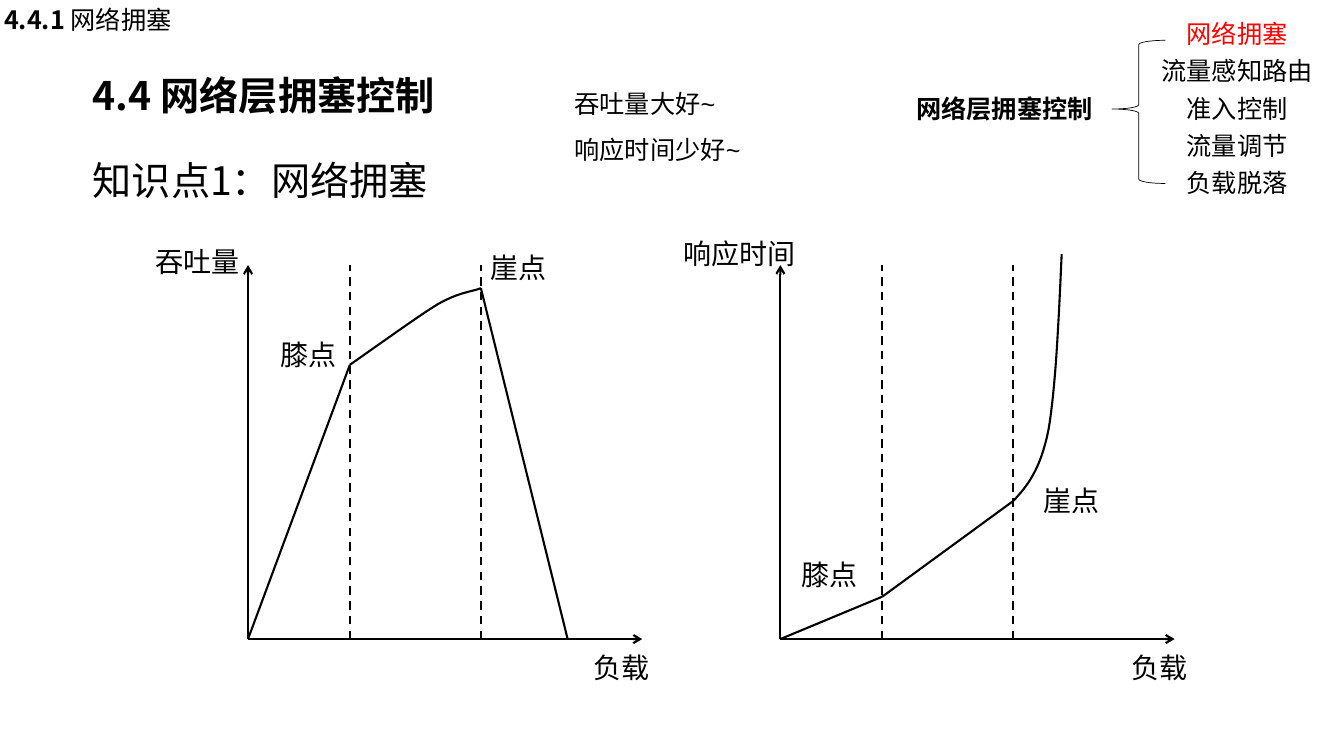
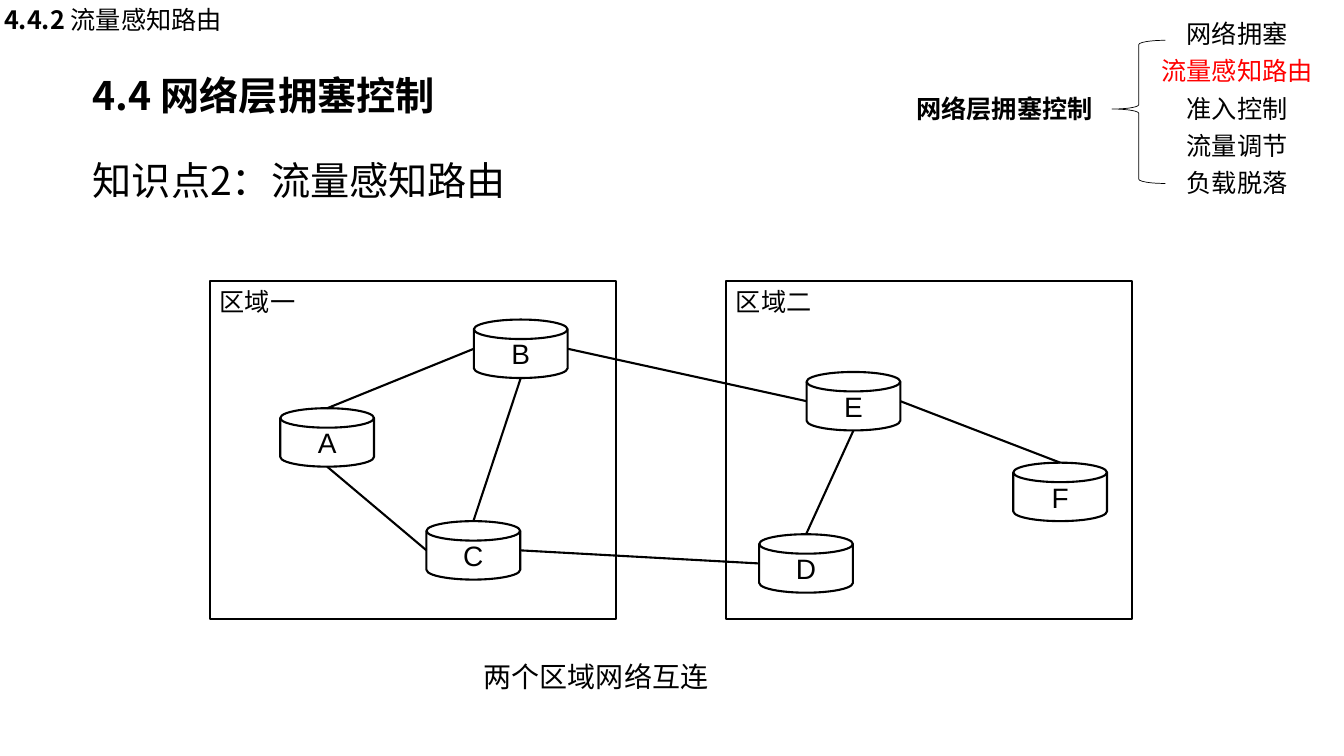
"""Builds two slides on congestion control in the network layer."""
from lxml import etree
from pptx import Presentation
from pptx import util as u
from pptx.dml.color import RGBColor
from pptx.enum import dml, lang, shapes, text
from pptx.oxml.ns import qn

PX = 9144
BLACK = RGBColor(0x00, 0x00, 0x00)
RED = RGBColor(0xFF, 0x00, 0x00)
CJK_FONT = "Noto Sans CJK SC"
TOP, LEFT, BOTTOM, RIGHT = range(4)

TOPICS = ["网络拥塞", "流量感知路由", "准入控制", "流量调节", "负载脱落"]
CHAPTER = "网络层拥塞控制"
AXIS_Y, AXIS_TOP, AXIS_LENGTH = 634, 263, 391
KNEE, CLIFF = 101, 231
DISK_SIZE = 93, 58
DISKS = {
    "A": (278, 405),
    "B": (470, 317),
    "C": (423, 517),
    "D": (753, 530),
    "E": (800, 369),
    "F": (1005, 459),
}
LINKS = [
    ("A", TOP, "B", LEFT),
    ("C", TOP, "B", BOTTOM),
    ("C", LEFT, "A", BOTTOM),
    ("B", RIGHT, "E", LEFT),
    ("D", TOP, "E", BOTTOM),
    ("C", RIGHT, "D", LEFT),
    ("E", RIGHT, "F", TOP),
]


def px(*values):
    """Turn lengths in px into EMU."""
    return [u.Emu(round(value * PX)) for value in values]


def insets(horizontal, vertical):
    """Return the frame margins for a pair of lengths in px."""
    side, end = px(horizontal, vertical)
    return dict(margin_left=side, margin_right=side, margin_top=end, margin_bottom=end)


def style(size, name=CJK_FONT, bold=False, paragraph=None, **frame):
    """Return the format values of one kind of text."""
    return {
        "font": dict(name=name, size=u.Pt(size), bold=bold),
        "paragraph": paragraph or {},
        "frame": dict(insets(10, 5), word_wrap=True) | frame,
    }


GROW = dict(auto_size=text.MSO_AUTO_SIZE.SHAPE_TO_FIT_TEXT)
FREE = dict(GROW, word_wrap=False)
MIDDLE = dict(vertical_anchor=text.MSO_ANCHOR.MIDDLE)
CENTER = dict(alignment=text.PP_ALIGN.CENTER)
TITLE = style(28, bold=True, **insets(12, 6), **GROW)
SUBTITLE = style(28, paragraph=dict(line_spacing=1.5), **insets(12, 6), **MIDDLE)
SECTION = style(18, paragraph=dict(line_spacing=u.Pt(16)), **(FREE | insets(4, 5)))
TOPIC = style(18, paragraph=dict(CENTER, line_spacing=u.Pt(16)), **FREE)
ROOT = style(18, bold=True, **FREE)
LABEL = style(20, name="Arial", **GROW)
REMARK = style(18, name="Arial", paragraph=dict(line_spacing=1.5), **GROW)
REGION = style(
    18,
    name="Arial",
    paragraph=dict(alignment=text.PP_ALIGN.LEFT),
    vertical_anchor=text.MSO_ANCHOR.TOP,
)
NODE = style(20, name="Arial", paragraph=CENTER, **MIDDLE)


def apply(target, values):
    """Set every attribute of a dict on an object."""
    for name, value in values.items():
        setattr(target, name, value)


def add_run(paragraph, wording, font, color):
    """Append one formatted run to a paragraph."""
    run = paragraph.add_run()
    run.text = wording
    apply(run.font, font)
    run.font.language_id = lang.MSO_LANGUAGE_ID.SIMPLIFIED_CHINESE
    run.font.color.rgb = color
    east_asian = etree.SubElement(run.font._element, qn("a:ea"))
    east_asian.set("typeface", CJK_FONT)


def write(shape, look, *lines, color=BLACK):
    """Write lines into a shape and return the last paragraph."""
    frame = shape.text_frame
    apply(frame, look["frame"])
    for index, line in enumerate(lines):
        paragraph = frame.add_paragraph() if index else frame.paragraphs[0]
        apply(paragraph, look["paragraph"])
        add_run(paragraph, line, look["font"], color)
    return paragraph


def add_text(slide, box, look, *lines, color=BLACK):
    """Add a text box and return its last paragraph."""
    return write(slide.shapes.add_textbox(*px(*box)), look, *lines, color=color)


def add_outline(slide, kind, box, width=1.5):
    """Add an unfilled preset shape with a black line."""
    return draw_outline(slide.shapes.add_shape(kind, *px(*box)), width)


def draw_outline(shape, width=1.5):
    """Give a shape a black line, no fill and no shadow."""
    shape.shadow.inherit = False
    shape.fill.background()
    shape.line.color.rgb = BLACK
    shape.line.width = u.Pt(width)
    return shape


def add_line(slide, start, end, dashed=False, arrow=False):
    """Add a straight black connector."""
    line = slide.shapes.add_connector(shapes.MSO_CONNECTOR.STRAIGHT, *px(*start, *end))
    line.line.color.rgb = BLACK
    line.line.width = u.Pt(1.5)
    if dashed:
        line.line.dash_style = dml.MSO_LINE.DASH
    if arrow:
        etree.SubElement(line.line._get_or_add_ln(), qn("a:tailEnd")).set("type", "arrow")
    etree.SubElement(line._element.spPr, qn("a:effectLst"))
    return line


def bezier(start, first, second, end, steps=16):
    """Yield points along a cubic curve, without its start."""
    for step in range(1, steps + 1):
        t = step / steps
        weights = (1 - t) ** 3, 3 * t * (1 - t) ** 2, 3 * t * t * (1 - t), t ** 3
        yield [
            sum(weight * value for weight, value in zip(weights, axis))
            for axis in zip(start, first, second, end)
        ]


def add_curve(slide, start, *segments):
    """Add an open outline made of cubic curves."""
    builder = slide.shapes.build_freeform(*px(*start))
    for segment in segments:
        points = bezier(start, *segment)
        builder.add_line_segments([px(*point) for point in points], close=False)
        start = segment[-1]
    draw_outline(builder.convert_to_shape())


def add_axes(slide, left):
    """Add two axes and the dashed lines of the knee and the cliff."""
    origin = left, AXIS_Y
    add_line(slide, origin, (left, AXIS_TOP), arrow=True)
    add_line(slide, origin, (left + AXIS_LENGTH, AXIS_Y), arrow=True)
    for offset in (KNEE, CLIFF):
        x = left + offset
        add_line(slide, (x, AXIS_Y), (x, AXIS_TOP), dashed=True)


def add_labels(slide, labels):
    """Add the wording of a graph, given as (text, left, top)."""
    for wording, left, top in labels:
        add_text(slide, (left, top, 179, 44), LABEL, wording)


def add_throughput_graph(slide, left=246):
    """Draw throughput against load."""
    knee, cliff = (left + KNEE, 362), (left + CLIFF, 286)
    add_axes(slide, left)
    add_line(slide, (left, AXIS_Y), knee)
    add_curve(
        slide,
        knee,
        ((380, 339), (413, 315), (434, 302)),
        ((455, 290), (466, 290), cliff),
    )
    add_line(slide, (563, AXIS_Y), cliff)
    add_labels(slide, [
        ("膝点", 268, 330),
        ("吞吐量", 144, 238),
        ("崖点", 477, 244),
        ("负载", 579, 640),
    ])


def add_response_graph(slide, left=774):
    """Draw response time against load."""
    knee, cliff = (left + KNEE, 592), (left + CLIFF, 497)
    add_axes(slide, left)
    add_line(slide, (left, AXIS_Y), knee)
    add_line(slide, knee, cliff)
    add_curve(
        slide,
        cliff,
        ((1019, 482), (1032, 466), (1040, 426)),
        ((1047, 385), (1050, 319), (1053, 252)),
    )
    add_labels(slide, [
        ("膝点", 785, 548),
        ("响应时间", 668, 230),
        ("崖点", 1025, 475),
        ("负载", 1112, 640),
    ])


def add_network(slide):
    """Draw two regions with their linked nodes."""
    for wording, left in (("区域一", 208), ("区域二", 720)):
        region = add_outline(slide, shapes.MSO_SHAPE.RECTANGLE, (left, 279, 403, 335))
        write(region, REGION, wording)
    disks = {}
    for name, corner in DISKS.items():
        kind = shapes.MSO_SHAPE.FLOWCHART_MAGNETIC_DISK
        disks[name] = add_outline(slide, kind, (*corner, *DISK_SIZE))
        write(disks[name], NODE, name)
    for source, source_side, target, target_side in LINKS:
        link = add_line(slide, (0, 0), (0, 0))
        link.begin_connect(disks[source], source_side)
        link.end_connect(disks[target], target_side)
        shift_sites(link)
    add_text(slide, (470, 649, 499, 44), LABEL, "两个区域网络互连")


def shift_sites(link):
    """Skip the extra connection site that a disk has on its lid."""
    for tag in ("a:stCxn", "a:endCxn"):
        site = link._element.find(".//" + qn(tag))
        site.set("idx", str(int(site.get("idx")) + 1))


def add_outline_map(slide, current):
    """Draw the chapter's topics, with the current one in red."""
    brace = add_outline(slide, shapes.MSO_SHAPE.LEFT_BRACE, (1103, 40, 53, 142), 0.5)
    brace.adjustments[0], brace.adjustments[1] = 0.08, 0.48
    add_text(slide, (899, 88, 198, 40), ROOT, CHAPTER)
    for index, topic in enumerate(TOPICS):
        color = RED if index == current else BLACK
        add_text(slide, (1141, 21 + 37 * index, 172, 33), TOPIC, topic, color=color)


def add_topic_slide(presentation, current):
    """Add a slide with the headings shared by all topics."""
    slide = presentation.slides.add_slide(presentation.slide_layouts[6])
    topic, number = TOPICS[current], current + 1
    add_text(slide, (80, 65, 965, 59), TITLE, f"4.4 {CHAPTER}")
    add_text(slide, (80, 115, 1216, 104), SUBTITLE, f"知识点{number}：{topic}")
    section = add_text(slide, (0, 7, 240, 33), SECTION, f"4.4.{number} ")
    section.runs[0].font.bold = True
    add_run(section, topic, SECTION["font"], BLACK)
    add_outline_map(slide, current)
    return slide


def main():
    """Build and save the presentation."""
    presentation = Presentation()
    presentation.slide_width, presentation.slide_height = px(1333, 750)
    congestion = add_topic_slide(presentation, 0)
    add_throughput_graph(congestion)
    add_response_graph(congestion)
    add_text(congestion, (560, 68, 215, 101), REMARK, "吞吐量大好~", "响应时间少好~")
    add_network(add_topic_slide(presentation, 1))
    presentation.save("out.pptx")


if __name__ == "__main__":
    main()
